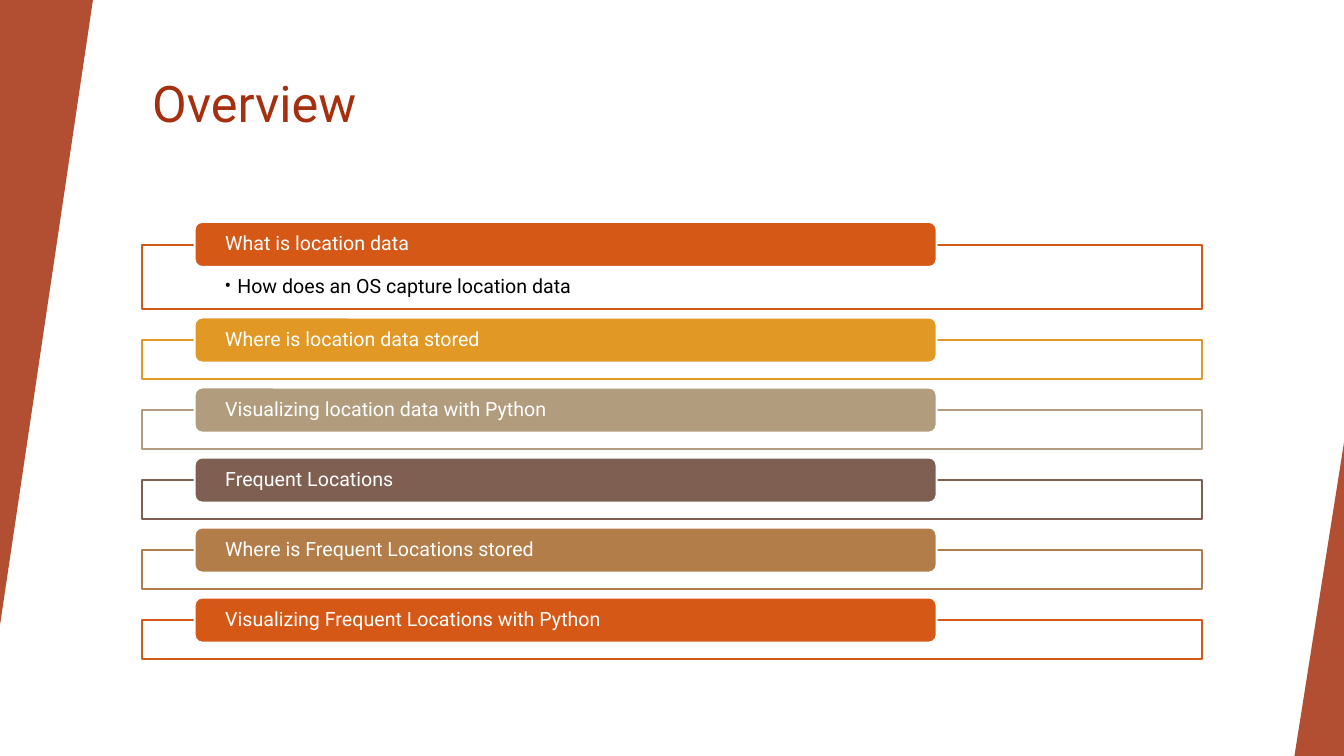
"""Build the Overview slide: six labelled bars on outlined frames between two slanted edges."""
from dataclasses import dataclass

from lxml import etree
from pptx import Presentation
from pptx.dml.color import RGBColor
from pptx.enum.shapes import MSO_SHAPE
from pptx.enum.text import MSO_ANCHOR, PP_ALIGN
from pptx.oxml.ns import qn
from pptx.shapes.autoshape import Shape
from pptx.slide import Slide
from pptx.util import Pt

RECTANGLE = MSO_SHAPE.RECTANGLE
ROUNDED = MSO_SHAPE.ROUNDED_RECTANGLE
TRIANGLE = MSO_SHAPE.ISOSCELES_TRIANGLE
TOP, MIDDLE = MSO_ANCHOR.TOP, MSO_ANCHOR.MIDDLE
LEFT = PP_ALIGN.LEFT

BLACK = RGBColor(0x00, 0x00, 0x00)
WHITE = RGBColor(0xFF, 0xFF, 0xFF)
RED = RGBColor(0xA5, 0x30, 0x0F)
ORANGE = RGBColor(0xD5, 0x58, 0x16)
AMBER = RGBColor(0xE1, 0x98, 0x25)
SAND = RGBColor(0xB1, 0x9C, 0x7D)
UMBER = RGBColor(0x7F, 0x5F, 0x52)
BRONZE = RGBColor(0xB2, 0x7D, 0x49)

FONT = "Roboto"
PAGE_WIDTH, PAGE_HEIGHT = 960, 540
FRAME_LEFT, FRAME_WIDTH = 101.5, 757.2
BAR_LEFT, BAR_WIDTH, BAR_HEIGHT = 139, 530, 32.25
FIRST_BAR_TOP = 158.5
FRAME_DROP = 16.2
SECTION_GAP = 22


@dataclass(frozen=True)
class Section:
    """A bar label, its colour, its frame height and an optional bullet."""

    label: str
    color: RGBColor
    frame_height: float = 28
    bullet: str = ""


@dataclass(frozen=True)
class Edge:
    """A slanted triangle at one side of the page."""

    left: float
    top: float
    width: float
    height: float
    rotation: float


SECTIONS = (
    Section("What is location data", ORANGE, 46.3, "How does an OS capture location data"),
    Section("Where is location data stored", AMBER),
    Section("Visualizing location data with Python", SAND),
    Section("Frequent Locations", UMBER),
    Section("Where is Frequent Locations stored", BRONZE),
    Section("Visualizing Frequent Locations with Python", ORANGE),
)
EDGES = (
    Edge(0, 0, 66.4, 446.5, 180),
    Edge(924.6, 316, 35.4, 224, 0),
)


def write_text(
    box: Shape,
    text: str,
    *,
    size: float = 14,
    color: RGBColor = WHITE,
    anchor: MSO_ANCHOR = MIDDLE,
    side_inset: float = 7.2,
    top_inset: float = 0,
    line_spacing: float = 0.9,
    bullet: bool = False,
) -> None:
    """Write one left-aligned paragraph into a box."""
    frame = box.text_frame
    frame.word_wrap = True
    frame.vertical_anchor = anchor
    frame.margin_left = frame.margin_right = Pt(side_inset)
    frame.margin_top, frame.margin_bottom = Pt(top_inset), Pt(0)
    para = frame.paragraphs[0]
    para.alignment = LEFT
    para.line_spacing = line_spacing
    if bullet:
        properties = para._p.get_or_add_pPr()
        properties.set("marL", str(Pt(9)))
        properties.set("indent", str(-Pt(9)))
        etree.SubElement(properties, qn("a:buFont")).set("typeface", FONT)
        etree.SubElement(properties, qn("a:buChar")).set("char", "•")
    span = para.add_run()
    span.text = text
    span.font.name = FONT
    span.font.size = Pt(size)
    span.font.color.rgb = color


def add_box(
    page: Slide,
    kind: MSO_SHAPE,
    left: float,
    top: float,
    width: float,
    height: float,
    *,
    fill: RGBColor,
    line: RGBColor | None = None,
    opacity: int = 100,
) -> Shape:
    """Add a flat preset shape with its fill, outline and opacity."""
    box = page.shapes.add_shape(kind, Pt(left), Pt(top), Pt(width), Pt(height))
    box.shadow.inherit = False
    box.fill.solid()
    box.fill.fore_color.rgb = fill
    if opacity < 100:
        color = box.element.spPr.find(qn("a:solidFill"))[0]
        etree.SubElement(color, qn("a:alpha")).set("val", str(opacity * 1000))
    if line is None:
        box.line.fill.background()
    else:
        box.line.color.rgb = line
        box.line.width = Pt(1.5)
    return box


def add_title(page: Slide, text: str) -> None:
    """Place and fill the title placeholder."""
    title = page.shapes.title
    title.left, title.top = Pt(101.5), Pt(48)
    title.width, title.height = Pt(803), Pt(86.4)
    write_text(title, text, size=36, color=RED, anchor=TOP, top_inset=3.6, line_spacing=1)


def add_edge(page: Slide, edge: Edge) -> None:
    """Draw one slanted edge."""
    triangle = add_box(
        page, TRIANGLE, edge.left, edge.top, edge.width, edge.height, fill=RED, opacity=85
    )
    triangle.adjustments[0] = 1
    triangle.rotation = edge.rotation


def add_section(page: Slide, section: Section, top: float) -> None:
    """Draw a section's frame with its bar on top."""
    frame = add_box(
        page, RECTANGLE, FRAME_LEFT, top + FRAME_DROP, FRAME_WIDTH, section.frame_height,
        fill=WHITE, line=section.color, opacity=90,
    )
    if section.bullet:
        write_text(
            frame, section.bullet, color=BLACK, anchor=TOP,
            side_inset=59, top_inset=23, bullet=True,
        )
    bar = add_box(
        page, ROUNDED, BAR_LEFT, top, BAR_WIDTH, BAR_HEIGHT, fill=section.color, line=WHITE
    )
    write_text(bar, section.label, side_inset=20.3)


def main() -> None:
    """Build and save the deck."""
    deck = Presentation()
    deck.slide_width, deck.slide_height = Pt(PAGE_WIDTH), Pt(PAGE_HEIGHT)
    page = deck.slides.add_slide(deck.slide_layouts[5])
    add_title(page, "Overview")
    for edge in EDGES:
        add_edge(page, edge)
    top = FIRST_BAR_TOP
    for section in SECTIONS:
        add_section(page, section, top)
        top += section.frame_height + SECTION_GAP
    deck.save("out.pptx")


if __name__ == "__main__":
    main()
